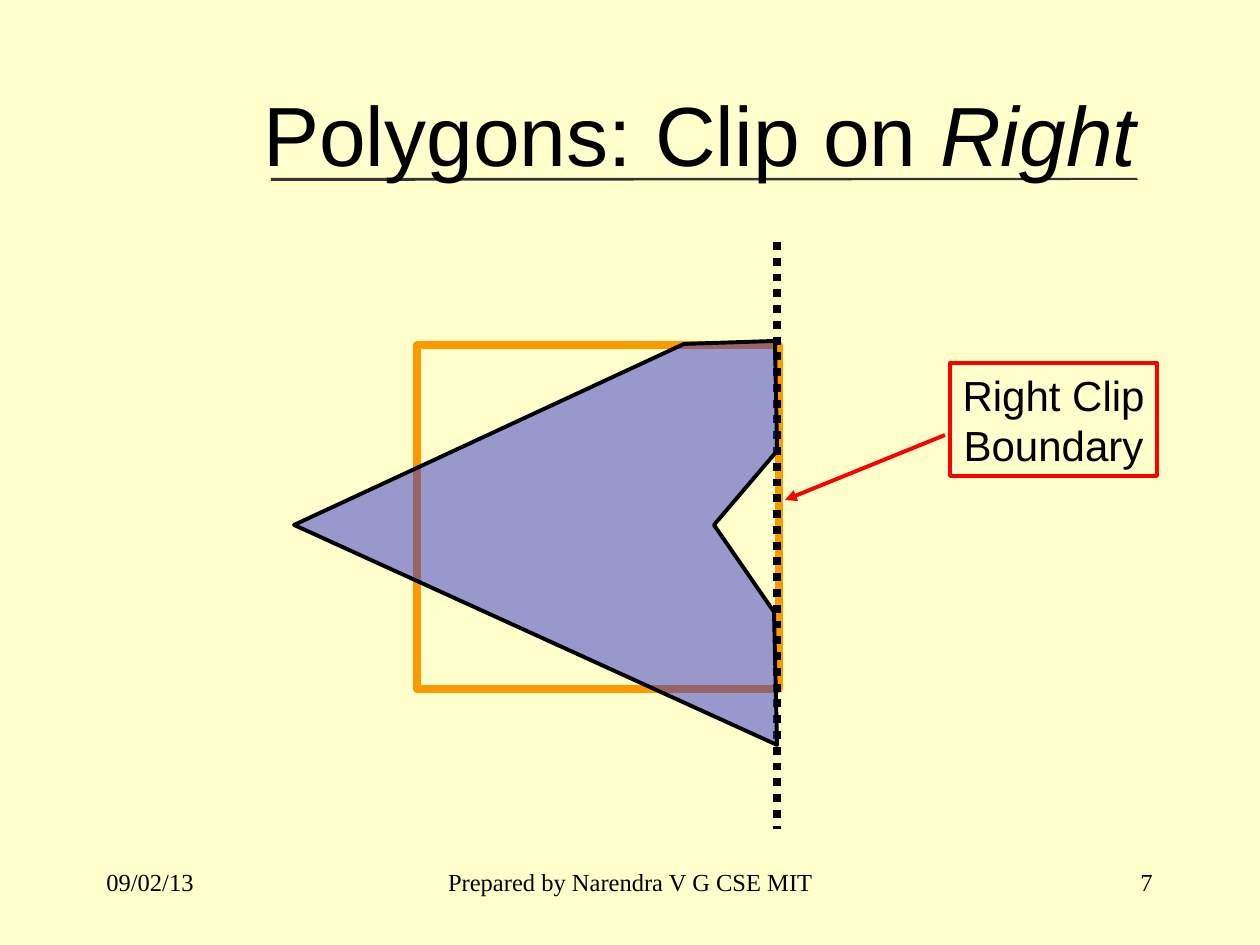
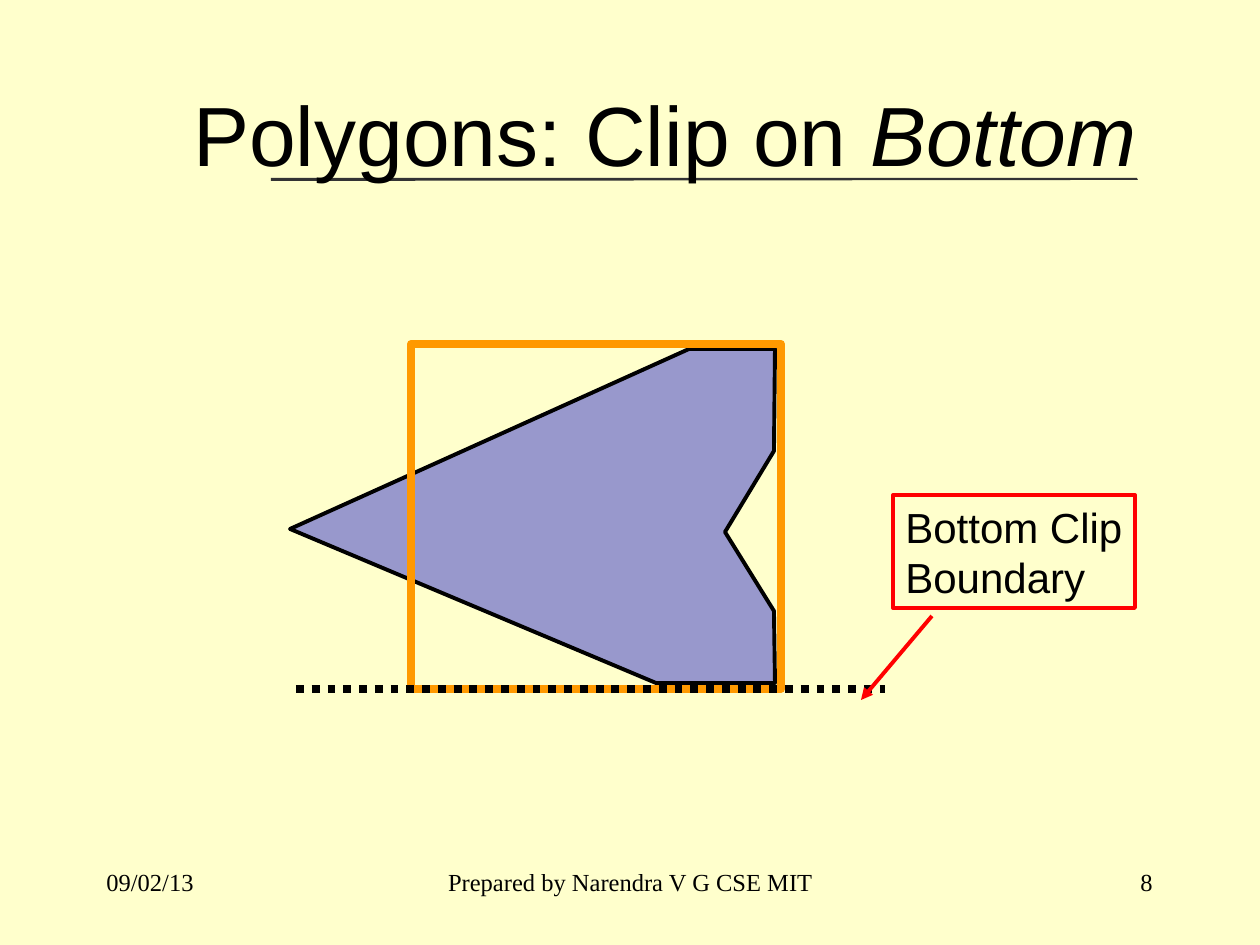
from dataclasses import dataclass

from lxml.etree import SubElement
from pptx import Presentation
from pptx.dml.color import RGBColor
from pptx.enum.dml import MSO_LINE
from pptx.enum.shapes import MSO_CONNECTOR, MSO_SHAPE
from pptx.enum.text import MSO_ANCHOR, MSO_AUTO_SIZE, PP_ALIGN
from pptx.oxml.ns import qn
from pptx.util import Pt

EMU_PER_PX = 914400 / 126
TITLE_ONLY = 5


def px(length):
    return round(length * EMU_PER_PX)


@dataclass(frozen=True)
class Theme:
    paper: RGBColor = RGBColor(0xFF, 0xFF, 0xCC)
    ink: RGBColor = RGBColor(0, 0, 0)
    rule: RGBColor = RGBColor(0x33, 0x33, 0x33)
    window: RGBColor = RGBColor(0xFF, 0x99, 0x00)
    polygon: RGBColor = RGBColor(0x33, 0x33, 0xCC)
    callout: RGBColor = RGBColor(0xFF, 0, 0)
    heading_font: str = "Arial"
    footer_font: str = "Times New Roman"
    title_size: float = 48
    label_size: float = 24
    footer_size: float = 14
    thick: float = 4.5
    thin: float = 2.25


class ClipDeck:
    def __init__(self, theme):
        self.theme = theme
        self.deck = Presentation()
        self.deck.slide_width, self.deck.slide_height = px(1260), px(945)
        background = self.deck.slide_master.background.fill
        background.solid()
        background.fore_color.rgb = theme.paper
        self.layout = self.deck.slide_layouts[TITLE_ONLY]
        self.slide = None

    def start_slide(self, boundary, number):
        first = self.slide is None
        self.slide = self.deck.slides.add_slide(self.layout)
        if first:
            self.title_rule()
        self.title("Polygons: Clip on ", boundary)
        self.footer("09/02/13", 94, 262, PP_ALIGN.LEFT)
        self.footer("Prepared by Narendra V G CSE MIT", 431, 399, PP_ALIGN.CENTER)
        self.footer(str(number), 903, 262, PP_ALIGN.RIGHT)

    def title_rule(self):
        """Draw the tapering rule and hand it to the layout, behind every title."""
        rule = self.outline([(271, 178), (1137, 178), (1138, 180), (271, 181)])
        rule.fill.solid()
        rule.fill.fore_color.rgb = self.theme.rule
        rule.line.fill.background()
        self.layout.shapes.element.append(rule.element)

    def title(self, lead, boundary):
        title = self.slide.shapes.title
        title.left, title.top, title.width, title.height = map(px, (94, 54, 1055, 158))
        frame = title.text_frame
        frame.auto_size = MSO_AUTO_SIZE.NONE
        frame.vertical_anchor = MSO_ANCHOR.MIDDLE
        paragraph = frame.paragraphs[0]
        paragraph.add_run().text = lead
        emphasis = paragraph.add_run()
        emphasis.text = boundary
        emphasis.font.italic = True
        self.format(paragraph, self.theme.heading_font, self.theme.title_size, PP_ALIGN.RIGHT)

    def footer(self, text, left, width, align):
        box = self.slide.shapes.add_textbox(px(left), px(861), px(width), px(63))
        box.text_frame.word_wrap = True
        box.text_frame.text = text
        self.format(box.text_frame.paragraphs[0], self.theme.footer_font,
                    self.theme.footer_size, align)

    def format(self, paragraph, font, size, align):
        paragraph.alignment = align
        paragraph.font.name = font
        paragraph.font.size = Pt(size)
        paragraph.font.color.rgb = self.theme.ink

    def stroke(self, line, color, width):
        line.color.rgb = color
        line.width = Pt(width)

    def frame(self, bounds, color, width):
        """Add an unfilled rectangle; bounds are left, top, width and height."""
        frame = self.slide.shapes.add_shape(MSO_SHAPE.RECTANGLE, *map(px, bounds))
        frame.shadow.inherit = False
        frame.fill.background()
        self.stroke(frame.line, color, width)
        return frame

    def clip_window(self, bounds):
        self.frame(bounds, self.theme.window, self.theme.thick)

    def outline(self, points):
        builder = self.slide.shapes.build_freeform(*points[0], scale=EMU_PER_PX)
        builder.add_line_segments(points[1:], close=True)
        outline = builder.convert_to_shape()
        outline.shadow.inherit = False
        return outline

    def polygon(self, points):
        polygon = self.outline(points)
        polygon.fill.solid()
        polygon.fill.fore_color.rgb = self.theme.polygon
        color = polygon.element.spPr.find(qn("a:solidFill"))[0]
        SubElement(color, qn("a:alpha"), val="50000")
        self.stroke(polygon.line, self.theme.ink, self.theme.thin)

    def connector(self, start, end, color, width):
        connector = self.slide.shapes.add_connector(
            MSO_CONNECTOR.STRAIGHT, *map(px, (*start, *end)))
        self.stroke(connector.line, color, width)
        SubElement(connector.element.spPr, qn("a:effectLst"))
        return connector

    def boundary_line(self, start, end):
        boundary = self.connector(start, end, self.theme.ink, self.theme.thick)
        boundary.line.dash_style = MSO_LINE.ROUND_DOT

    def callout(self, lines, bounds, align, arrow_start, arrow_tip):
        label = self.frame(bounds, self.theme.callout, self.theme.thin)
        label.text_frame.word_wrap = False
        label.text_frame.auto_size = MSO_AUTO_SIZE.SHAPE_TO_FIT_TEXT
        label.text_frame.text = "\n".join(lines)
        for paragraph in label.text_frame.paragraphs:
            self.format(paragraph, self.theme.heading_font, self.theme.label_size, align)
        arrow = self.connector(arrow_start, arrow_tip, self.theme.callout, self.theme.thin)
        SubElement(arrow.element.spPr.find(qn("a:ln")), qn("a:tailEnd"), type="triangle")


def main():
    clip = ClipDeck(Theme())

    clip.start_slide("Right", 7)
    clip.clip_window((417, 345, 362, 344))
    clip.boundary_line((777, 242), (777, 829))
    clip.polygon([(684, 344), (294, 525), (777, 745), (774, 612),
                  (714, 525), (777, 451), (775, 341)])
    clip.callout(["Right Clip", "Boundary"], (950, 363, 207, 113), PP_ALIGN.CENTER,
                 (945, 435), (785, 500))

    clip.start_slide("Bottom", 8)
    clip.polygon([(689, 349), (290, 529), (656, 683), (775, 683),
                  (774, 611), (725, 532), (774, 451), (775, 349)])
    clip.clip_window((411, 344, 370, 345))
    clip.boundary_line((296, 689), (885, 689))
    clip.callout(["Bottom Clip", "Boundary"], (893, 495, 242, 113), PP_ALIGN.LEFT,
                 (932, 616), (861, 700))

    clip.deck.save("out.pptx")


if __name__ == "__main__":
    main()
